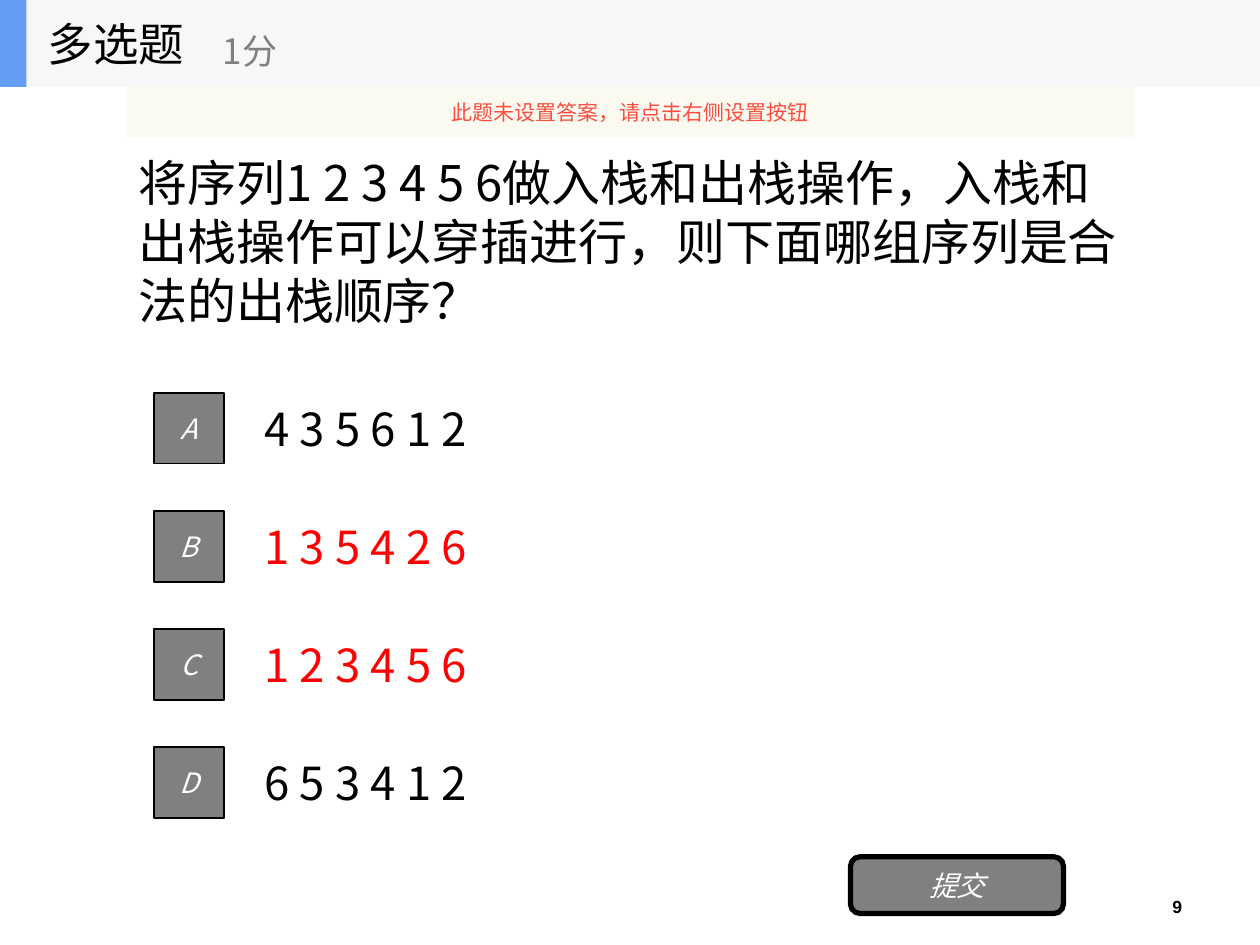
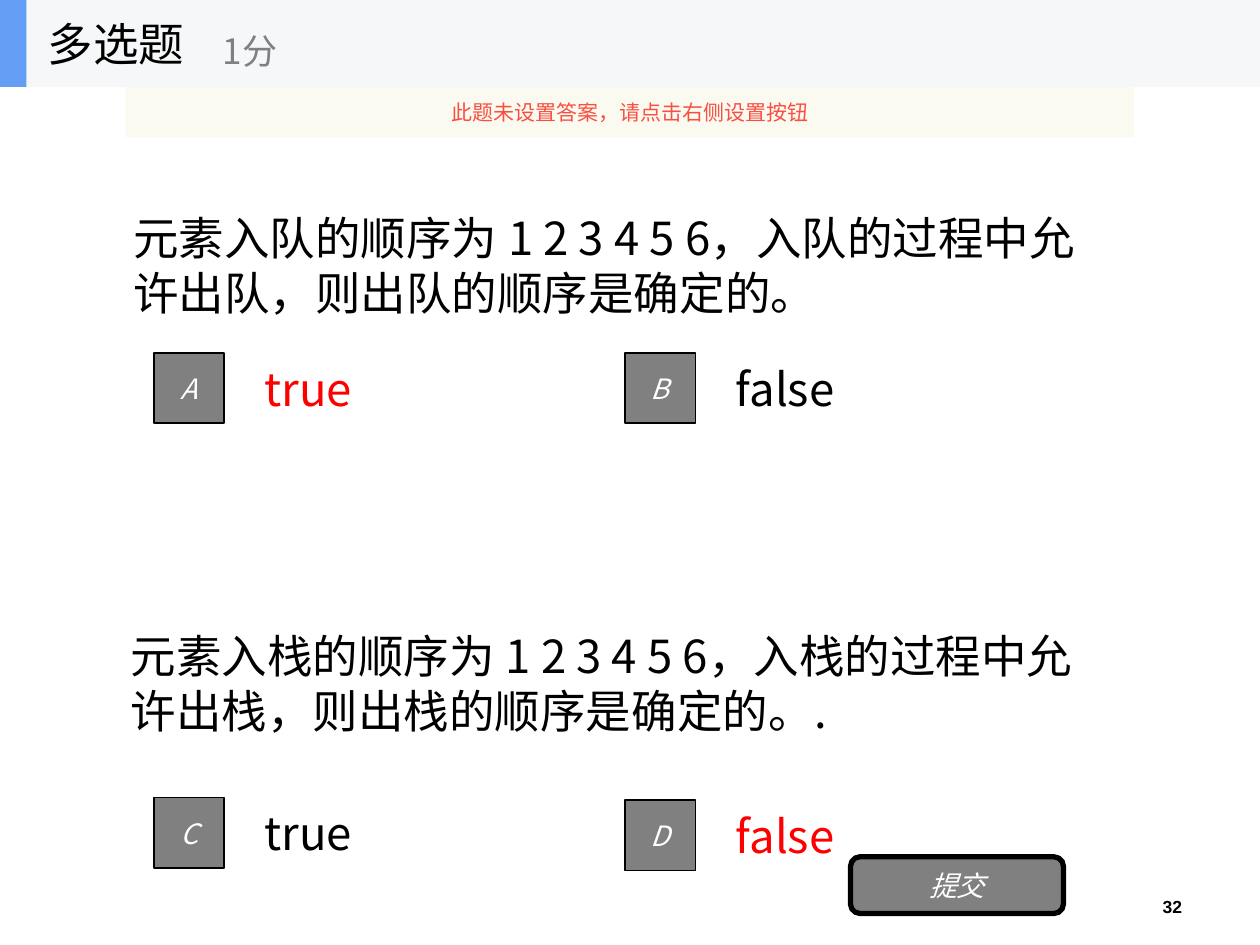
"""Build two multiple-choice quiz slides about stacks and queues."""
from lxml import etree
from pptx import Presentation
from pptx.dml.color import RGBColor
from pptx.enum import shapes, text
from pptx.oxml import ns
from pptx.util import Inches, Pt

CJK_FONT = "Noto Sans CJK SC"
NUMBER_FONT = "Arial"
BLACK, WHITE, GREY, RED = "000000", "FFFFFF", "808080", "FF0000"
BAND, ACCENT = "F6F7F8", "639EF4"
NOTICE_FILL, NOTICE_TEXT = "FBFAEF", "F84F41"

TITLE = "多选题"
POINTS = "1分"
NOTICE = "此题未设置答案，请点击右侧设置按钮"
SUBMIT = "提交"

BAND_HEIGHT = 0.69
BOX_SIZE = 0.56
OPTION_HEIGHT = 0.7
OPTION_OFFSET = 0.78
LEFT_COLUMN, RIGHT_COLUMN = 1.22, 4.96
FIRST_ROW, ROW_PITCH = 3.12, 0.937
LINE_FACTOR = 1.2

SLIDES = [
    {
        "number": "9",
        "questions": [
            ("将序列1 2 3 4 5 6做入栈和出栈操作，入栈和出栈操作可以穿插进行，则下面哪组序列是合法的出栈顺序？",
             (1, 0.69, 8, 2.34), 28),
        ],
        "options": [
            (answer, correct, LEFT_COLUMN, FIRST_ROW + row * ROW_PITCH)
            for row, (answer, correct) in enumerate([
                ("4 3 5 6 1 2", False),
                ("1 3 5 4 2 6", True),
                ("1 2 3 4 5 6", True),
                ("6 5 3 4 1 2", False),
            ])
        ],
        "option_width": 7,
    },
    {
        "number": "32",
        "questions": [
            ("元素入队的顺序为 1 2 3 4 5 6，入队的过程中允许出队，则出队的顺序是确定的。",
             (0.96, 1.31, 8, 1.48), 26),
            ("元素入栈的顺序为 1 2 3 4 5 6，入栈的过程中允许出栈，则出栈的顺序是确定的。.",
             (0.94, 4.63, 8, 1.48), 26),
        ],
        "options": [
            ("true", True, LEFT_COLUMN, 2.8),
            ("false", False, RIGHT_COLUMN, 2.8),
            ("true", False, LEFT_COLUMN, 6.33),
            ("false", True, RIGHT_COLUMN, 6.35),
        ],
        "option_width": 1.98,
    },
]


def color(value):
    return RGBColor.from_string(value)


def write(shape, content, size, ink, font=CJK_FONT, align=text.PP_ALIGN.LEFT,
          anchor=text.MSO_ANCHOR.MIDDLE, bold=False, italic=False):
    frame = shape.text_frame
    frame.text = content
    frame.word_wrap = True
    frame.vertical_anchor = anchor
    paragraph = frame.paragraphs[0]
    paragraph.alignment = align
    run = paragraph.runs[0]
    run.font.name = font
    run.font.size = Pt(size)
    run.font.bold = bold
    run.font.italic = italic
    run.font.color.rgb = color(ink)
    east_asian = etree.SubElement(run.font._element, ns.qn("a:ea"))
    east_asian.set("typeface", font)
    return paragraph


def add_text(slide, place, content, size, ink, **style):
    box = slide.shapes.add_textbox(*map(Inches, place))
    write(box, content, size, ink, **style)
    return box


def add_block(slide, place, fill, line_width=0, kind=shapes.MSO_SHAPE.RECTANGLE):
    block = slide.shapes.add_shape(kind, *map(Inches, place))
    block.shadow.inherit = False
    block.fill.solid()
    block.fill.fore_color.rgb = color(fill)
    if line_width:
        block.line.color.rgb = color(BLACK)
        block.line.width = Pt(line_width)
    else:
        block.line.fill.background()
    return block


def add_question(slide, content, place, size):
    box = add_text(slide, place, content, size, BLACK)
    box.text_frame.margin_top = Inches(0.15)
    box.text_frame.paragraphs[0].line_spacing = Pt(size * LINE_FACTOR)


def add_option(slide, letter, answer, correct, left, top, width):
    text_top = top - (OPTION_HEIGHT - BOX_SIZE) / 2
    add_text(slide, (left + OPTION_OFFSET, text_top, width, OPTION_HEIGHT),
             answer, 26, RED if correct else BLACK)
    box = add_block(slide, (left, top, BOX_SIZE, BOX_SIZE), GREY, 1)
    write(box, letter, 16, WHITE, align=text.PP_ALIGN.CENTER, italic=True)


def add_frame(slide, number):
    add_text(slide, (7.91, 7.06, 1.57, 0.22), number, 10, BLACK, font=NUMBER_FONT,
             align=text.PP_ALIGN.RIGHT, anchor=text.MSO_ANCHOR.TOP, bold=True)
    button = add_block(slide, (6.75, 6.8, 1.69, 0.45), GREY, 3,
                       shapes.MSO_SHAPE.ROUNDED_RECTANGLE)
    write(button, SUBMIT, 16, WHITE, align=text.PP_ALIGN.CENTER, italic=True)
    add_block(slide, (0, 0, 10, BAND_HEIGHT), BAND)
    add_block(slide, (0, 0, 0.21, BAND_HEIGHT), ACCENT)
    add_text(slide, (0.28, 0, 2.08, BAND_HEIGHT), TITLE, 26, BLACK)
    add_text(slide, (1.67, 0.12, 2.5, 0.56), POINTS, 20, GREY)
    notice = add_block(slide, (1, BAND_HEIGHT, 8, 0.4), NOTICE_FILL)
    fill_color = notice._element.spPr.find(ns.qn("a:solidFill"))[0]
    etree.SubElement(fill_color, ns.qn("a:alpha")).set("val", "90000")
    write(notice, NOTICE, 12, NOTICE_TEXT, align=text.PP_ALIGN.CENTER)


def main():
    presentation = Presentation()
    presentation.slide_width = Inches(10)
    presentation.slide_height = Inches(7.5)
    for content in SLIDES:
        slide = presentation.slides.add_slide(presentation.slide_layouts[6])
        for question in content["questions"]:
            add_question(slide, *question)
        for letter, option in zip("ABCD", content["options"]):
            add_option(slide, letter, *option, content["option_width"])
        add_frame(slide, content["number"])
    presentation.save("out.pptx")


if __name__ == "__main__":
    main()
